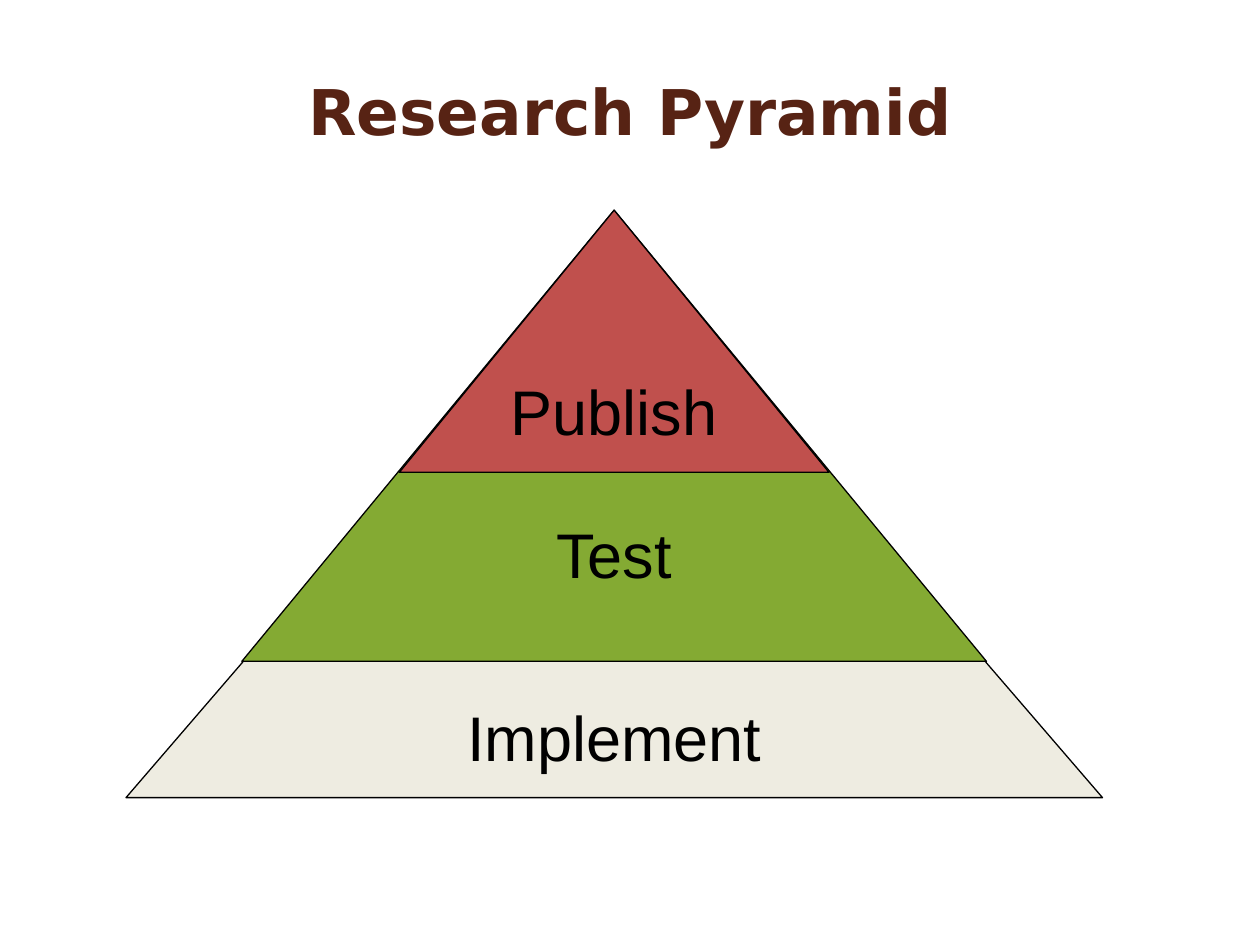
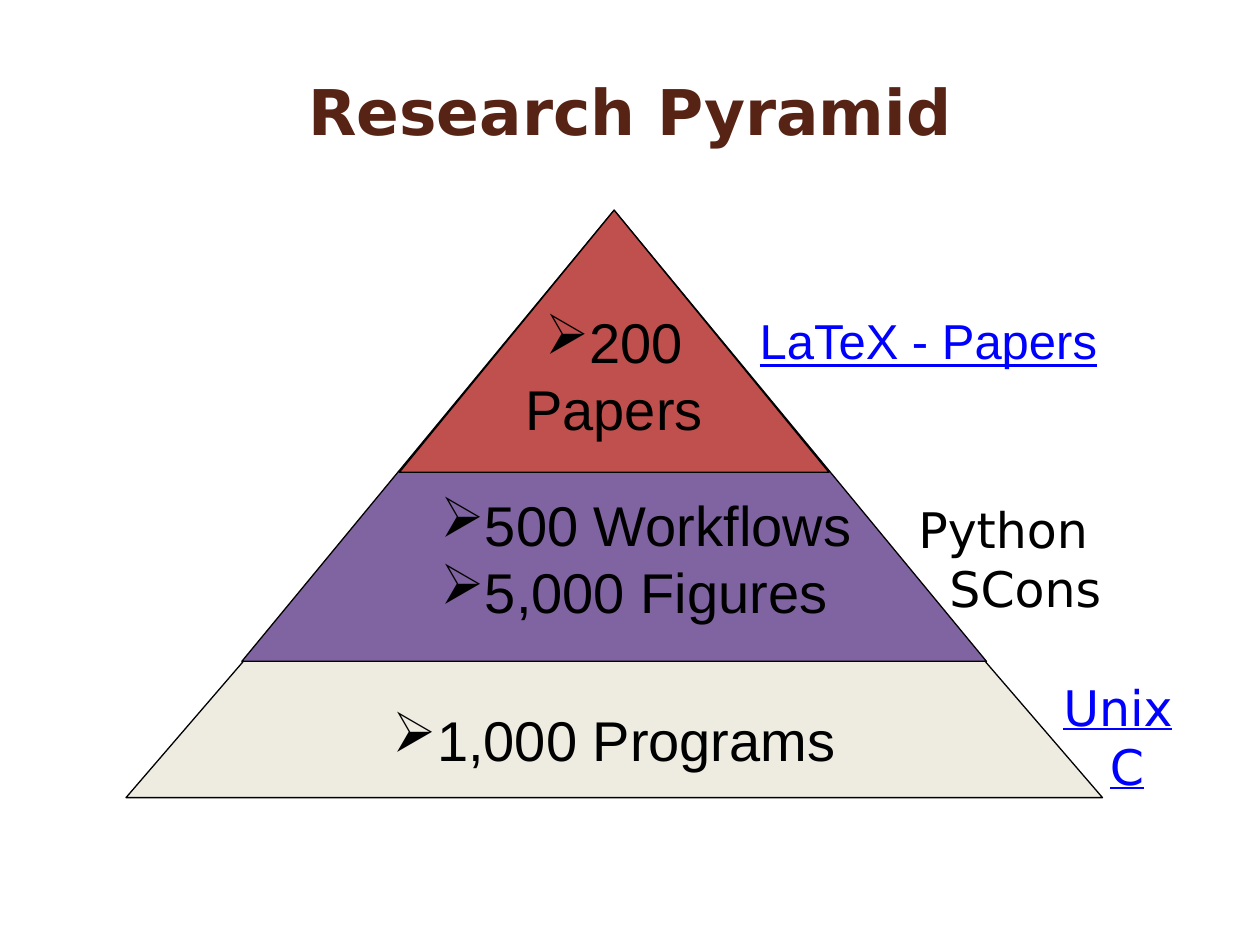
from dataclasses import dataclass

from lxml import etree
from pptx import Presentation
from pptx.dml.color import RGBColor
from pptx.enum.shapes import MSO_SHAPE
from pptx.enum.text import MSO_ANCHOR, PP_ALIGN
from pptx.oxml.ns import qn
from pptx.util import Pt

TRIANGLE = MSO_SHAPE.ISOSCELES_TRIANGLE
MIDDLE, TOP = MSO_ANCHOR.MIDDLE, MSO_ANCHOR.TOP
LEFT, CENTER = PP_ALIGN.LEFT, PP_ALIGN.CENTER


@dataclass(frozen=True)
class Theme:
    sans: str = "Arial"
    display: str = "DejaVu Sans"
    black: str = "000000"
    brown: str = "572314"
    blue: str = "0000FF"
    cream: str = "EEECE1"
    green: str = "84AA33"
    purple: str = "8064A2"
    red: str = "C0504D"
    title_size: int = 36
    label_size: int = 36
    count_size: int = 32
    tool_size: int = 28
    outline: float = 0.75
    bullet_indent: float = 17.28


T = Theme()

TITLE = "Research Pyramid"
TITLE_BOX = (30, 30, 660, 65.5)
TIER_BOXES = [
    (72, 131.8, 558, 324),
    (138.2, 120.1, 425.5, 257.8),
    (228.2, 120.1, 245.5, 149.8),
]

LABEL = {"size": T.label_size, "name": T.sans, "color": T.black}
COUNT = {**LABEL, "size": T.count_size}
TOOL = {"size": T.tool_size, "name": T.display, "color": T.black}
LINK = {**TOOL, "color": T.blue, "underline": True}
HEADING = {"size": T.title_size, "name": T.display, "color": T.brown, "bold": True}

SLIDES = [
    {
        "format": LABEL,
        "tiers": [
            {"fill": T.cream, "shift": 46, "lines": [("Implement", CENTER, False)]},
            {"fill": T.green, "shift": 2.6, "lines": [("Test", CENTER, False)]},
            {"fill": T.red, "shift": 2, "lines": [("Publish", CENTER, False)]},
        ],
        "tools": [],
    },
    {
        "format": COUNT,
        "tiers": [
            {"fill": T.cream, "shift": 47.3,
             "lines": [("1,000 Programs", CENTER, True)]},
            {"fill": T.purple, "shift": 5.2,
             "lines": [("500 Workflows", LEFT, True), ("5,000 Figures", LEFT, True)]},
            {"fill": T.red, "shift": -18.6,
             "lines": [("200", CENTER, True), ("Papers", CENTER, False)]},
        ],
        "tools": [
            {"box": (427, 174.2, 212, 40.3), "format": {**LINK, "name": T.sans},
             "lines": ["LaTeX - Papers"], "tab": 0},
            {"box": (517.7, 282.2, 125, 95.8), "format": TOOL,
             "lines": ["Python", "\tSCons"], "tab": 17.8},
            {"box": (600.5, 383.8, 82, 74.2), "format": LINK,
             "lines": ["Unix", "\tC"], "tab": 26.7},
        ],
    },
]


def rgb(value):
    return RGBColor.from_string(value)


def add_line(tf, index, text, align, fmt):
    p = tf.paragraphs[0] if index == 0 else tf.add_paragraph()
    p.alignment = align
    r = p.add_run()
    r.text = text
    for key, value in fmt.items():
        if key == "color":
            r.font.color.rgb = rgb(value)
        else:
            setattr(r.font, key, Pt(value) if key == "size" else value)
    return p


def add_bullet(p):
    pPr = p._p.get_or_add_pPr()
    pPr.set("marL", str(Pt(T.bullet_indent)))
    pPr.set("indent", str(-Pt(T.bullet_indent)))
    color = etree.SubElement(pPr, qn("a:buClr"))
    etree.SubElement(color, qn("a:srgbClr"), val=T.black)
    etree.SubElement(pPr, qn("a:buChar"), char="➢")


def add_tab_stop(p, position):
    tabs = etree.SubElement(p._p.get_or_add_pPr(), qn("a:tabLst"))
    etree.SubElement(tabs, qn("a:tab"), pos=str(Pt(position)), algn="l")


def add_tier(s, box, tier, fmt):
    sp = s.shapes.add_shape(TRIANGLE, *map(Pt, box))
    sp.shadow.inherit = False
    sp.fill.solid()
    sp.fill.fore_color.rgb = rgb(tier["fill"])
    sp.line.color.rgb = rgb(T.black)
    sp.line.width = Pt(T.outline)
    tf = sp.text_frame
    tf.word_wrap = False
    tf.vertical_anchor = MIDDLE
    tf.margin_top = Pt(max(0, 2 * tier["shift"]))
    tf.margin_bottom = Pt(max(0, -2 * tier["shift"]))
    for i, (text, align, bulleted) in enumerate(tier["lines"]):
        p = add_line(tf, i, text, align, fmt)
        if bulleted:
            add_bullet(p)


def add_text(s, box, lines, fmt, align=LEFT, anchor=TOP, tab=0):
    tf = s.shapes.add_textbox(*map(Pt, box)).text_frame
    tf.word_wrap = True
    tf.vertical_anchor = anchor
    for i, text in enumerate(lines):
        p = add_line(tf, i, text, align, fmt)
        if text.startswith("\t"):
            add_tab_stop(p, tab)


def main():
    prs = Presentation()
    prs.slide_width, prs.slide_height = Pt(720), Pt(540)
    for content in SLIDES:
        s = prs.slides.add_slide(prs.slide_layouts[6])
        for box, tier in zip(TIER_BOXES, content["tiers"]):
            add_tier(s, box, tier, content["format"])
        add_text(s, TITLE_BOX, [TITLE], HEADING, CENTER, MIDDLE)
        for tool in content["tools"]:
            add_text(s, tool["box"], tool["lines"], tool["format"], tab=tool["tab"])
    prs.save("out.pptx")


if __name__ == "__main__":
    main()
